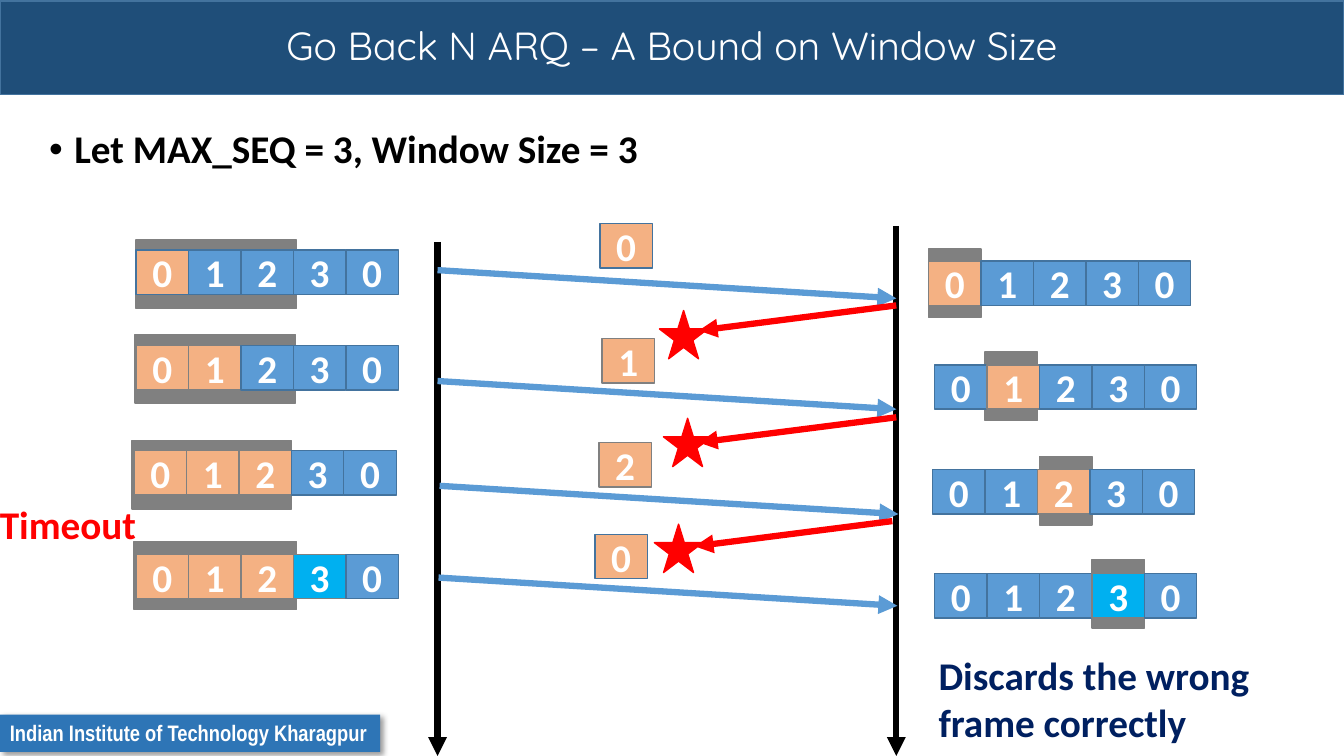
from lxml import etree
from pptx import Presentation
from pptx.dml.color import RGBColor
from pptx.enum.shapes import MSO_CONNECTOR, MSO_SHAPE
from pptx.enum.text import MSO_ANCHOR, PP_ALIGN
from pptx.oxml import parse_xml
from pptx.oxml.ns import nsdecls, qn
from pptx.util import Inches, Pt

RECTANGLE, STAR = MSO_SHAPE.RECTANGLE, MSO_SHAPE.STAR_5_POINT
STRAIGHT = MSO_CONNECTOR.STRAIGHT
MIDDLE, CENTER = MSO_ANCHOR.MIDDLE, PP_ALIGN.CENTER

WHITE = RGBColor(0xFF, 0xFF, 0xFF)
BLACK = RGBColor(0x00, 0x00, 0x00)
RED = RGBColor(0xFF, 0x00, 0x00)
NAVY = RGBColor(0x00, 0x20, 0x60)
TITLE_BLUE = RGBColor(0x1F, 0x4E, 0x79)
FOOTER_BLUE = RGBColor(0x2E, 0x75, 0xB6)
EDGE_BLUE = RGBColor(0x43, 0x73, 0x9E)
BLUE = RGBColor(0x5B, 0x9B, 0xD5)
ORANGE = RGBColor(0xF4, 0xB1, 0x83)
CYAN = RGBColor(0x00, 0xB0, 0xF0)
GREY = RGBColor(0x80, 0x80, 0x80)

CELL_WIDTH, CELL_HEIGHT = 0.52, 0.44
WINDOW_HEIGHT, STAR_SIZE = 0.68, 0.48
CELL_STYLES = {"b": (BLUE, EDGE_BLUE), "o": (ORANGE, GREY),
               "e": (ORANGE, EDGE_BLUE), "c": (CYAN, GREY)}

# Each row: left, top, cell styles, window (left, top, width).
SENDER_ROWS = [(1.35, 2.48, "ebbbb", (1.35, 2.38, 1.59)),
               (1.35, 3.43, "oobbb", (1.34, 3.32, 1.59)),
               (1.33, 4.47, "ooobb", (1.31, 4.37, 1.58)),
               (1.35, 5.5, "ooocb", (1.33, 5.37, 1.61))]
RECEIVER_ROWS = [(9.21, 2.59, "obbbb", (9.21, 2.47, 0.52)),
                 (9.27, 3.62, "bobbb", (9.77, 3.49, 0.52)),
                 (9.25, 4.66, "bbobb", (10.31, 4.53, 0.52)),
                 (9.27, 5.69, "bbbcb", (10.83, 5.55, 0.52))]
SENT_FRAMES = [("0", "e", (5.95, 2.22), (4.34, 2.68)),
               ("1", "o", (5.97, 3.36), (4.34, 3.78)),
               ("2", "o", (5.94, 4.39), (4.36, 4.82)),
               ("0", "e", (5.9, 5.3), (4.35, 5.73))]
LOST_REPLIES = [((8.89, 3.03), (6.54, 3.08)),
                ((8.89, 4.14), (6.58, 4.15)),
                ((8.85, 5.17), (6.49, 5.2))]


def add_block(page, box, fill, edge=None, kind=RECTANGLE):
    """Draw a filled preset shape without a shadow."""
    block = page.shapes.add_shape(kind, *map(Inches, box))
    block.shadow.inherit = False
    block.fill.solid()
    block.fill.fore_color.rgb = fill
    if edge is None:
        block.line.fill.background()
    else:
        block.line.color.rgb = edge
        block.line.width = Pt(1)
    return block


def write(shape, text, color, wrap=True, bullet=False, frame=None, para=None, **font):
    """Put one formatted paragraph into a shape."""
    shape.text_frame.word_wrap = wrap
    for name, value in (frame or {}).items():
        setattr(shape.text_frame, name, value)
    paragraph = shape.text_frame.paragraphs[0]
    for name, value in (para or {}).items():
        setattr(paragraph, name, value)
    if bullet:
        properties = paragraph._p.get_or_add_pPr()
        properties.set("marL", str(Inches(0.25)))
        properties.set("indent", str(Inches(-0.25)))
        etree.SubElement(properties, qn("a:buFont")).set("typeface", "Arial")
        etree.SubElement(properties, qn("a:buChar")).set("char", "•")
    span = paragraph.add_run()
    span.text = text
    styles = {"name": "Calibri", "size": Pt(28), "bold": True, **font}
    for name, value in styles.items():
        setattr(span.font, name, value)
    span.font.color.rgb = color


def add_label(page, box, text, color, **options):
    """Place a free text label in the given box."""
    write(page.shapes.add_textbox(*map(Inches, box)), text, color, **options)


def add_arrow(page, start, end, color):
    """Draw a thick straight arrow between two points."""
    arrow = page.shapes.add_connector(STRAIGHT, *map(Inches, (*start, *end)))
    arrow.line.color.rgb = color
    arrow.line.width = Pt(4.5)
    etree.SubElement(arrow.line._get_or_add_ln(), qn("a:tailEnd")).set("type", "triangle")
    etree.SubElement(arrow._element.spPr, qn("a:effectLst"))


def add_cell(page, left, top, digit, style):
    """Draw one numbered frame cell."""
    fill, edge = CELL_STYLES[style]
    cell = add_block(page, (left, top, CELL_WIDTH, CELL_HEIGHT), fill, edge)
    write(cell, digit, WHITE, frame={"vertical_anchor": MIDDLE}, para={"alignment": CENTER})


def add_sequence(page, left, top, styles, window):
    """Draw a row of sequence numbers over its grey window."""
    add_block(page, (*window, WINDOW_HEIGHT), GREY, GREY)
    for index, (digit, style) in enumerate(zip("01230", styles)):
        add_cell(page, left + index * CELL_WIDTH, top, digit, style)


def add_title(page, box):
    """Draw the title bar."""
    write(add_block(page, box, TITLE_BLUE, EDGE_BLUE),
          "Go Back N ARQ – A Bound on Window Size", WHITE,
          frame={"vertical_anchor": MIDDLE},
          para={"alignment": CENTER, "line_spacing": 0.9}, name="Quicksand", bold=False)


def add_footer(page, box):
    """Draw the institute tag with its soft shadow."""
    tag = add_block(page, box, FOOTER_BLUE)
    write(tag, "Indian Institute of Technology Kharagpur", WHITE, wrap=False,
          frame={"vertical_anchor": MSO_ANCHOR.TOP}, para={"alignment": PP_ALIGN.LEFT},
          name="Arial Narrow", size=Pt(16))
    effects = tag._element.spPr.find(qn("a:effectLst"))
    effects.append(parse_xml(
        f'<a:outerShdw {nsdecls("a")} blurRad="{Pt(4)}" dist="{Pt(3)}" dir="2700000" '
        'algn="tl" rotWithShape="0"><a:srgbClr val="000000"><a:alpha val="40000"/>'
        '</a:srgbClr></a:outerShdw>'))


def add_exchange(page, sender_x, receiver_x, bottom):
    """Draw both time lines, the sent frames and the lost replies."""
    for x, top in ((sender_x, 2.4), (receiver_x, 2.24)):
        add_arrow(page, (x, top), (x, bottom), BLACK)
    for digit, style, (left, top), (x, y) in SENT_FRAMES:
        add_arrow(page, (x, y), (x + receiver_x - sender_x, y + 0.28), BLUE)
        add_cell(page, left, top, digit, style)
    for (x, y), star in LOST_REPLIES:
        add_arrow(page, (x, y), (x - 1.96, y + 0.25), RED)
        add_block(page, (*star, STAR_SIZE, STAR_SIZE), RED, RED, STAR)


def main():
    """Build the slide and save the deck."""
    deck = Presentation()
    deck.slide_width, deck.slide_height = Inches(13.33), Inches(7.5)
    page = deck.slides.add_slide(deck.slide_layouts[6])
    add_title(page, (0, 0.01, 13.33, 0.93))
    add_footer(page, (0, 7.09, 3.77, 0.37))
    add_label(page, (0.39, 1.24, 12.63, 0.69), "Let MAX_SEQ = 3, Window Size = 3", BLACK,
              bullet=True, para={"line_spacing": 0.9})
    for row in SENDER_ROWS + RECEIVER_ROWS:
        add_sequence(page, *row)
    add_exchange(page, 4.34, 8.89, 7.5)
    add_label(page, (-0.1, 4.91, 1.57, 0.57), "Timeout", RED, wrap=False)
    add_label(page, (9.21, 6.41, 3.81, 1.04), "Discards the wrong frame correctly", NAVY)
    deck.save("out.pptx")


if __name__ == "__main__":
    main()
